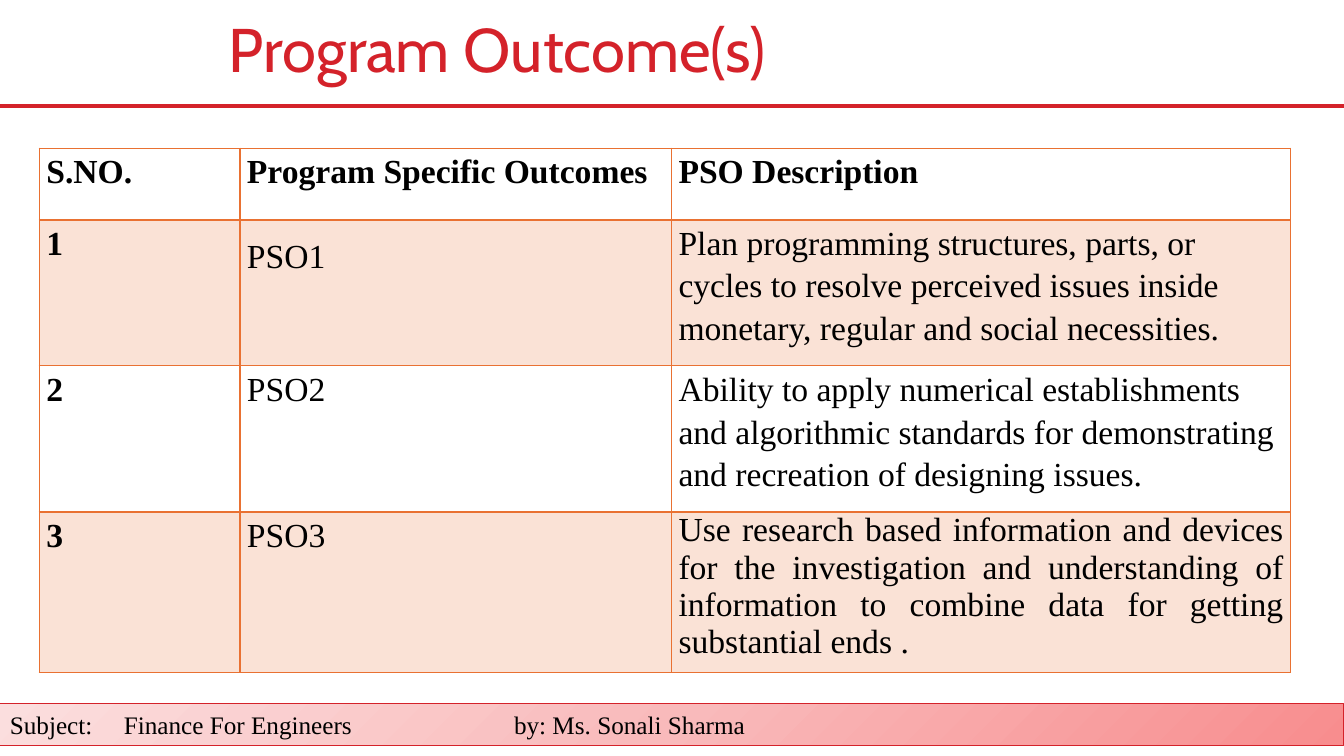
from copy import deepcopy

from lxml import etree
from pptx import Presentation
from pptx.dml.color import RGBColor
from pptx.enum import shapes, text
from pptx.oxml import ns
from pptx.util import Inches, Pt

HEADING = "Program Outcome(s)"
FOOTER = "Subject:\tFinance For Engineers\tby: Ms. Sonali Sharma"
FOOTER_TABS = (1.13, 5.0)
OUTCOMES = [
    ("S.NO.", "Program Specific Outcomes", "PSO Description"),
    ("1", "PSO1", "Plan programming structures, parts, or cycles to resolve perceived "
                  "issues inside monetary, regular and social necessities."),
    ("2", "PSO2", "Ability to apply numerical establishments and algorithmic standards "
                  "for demonstrating and recreation of designing issues."),
    ("3", "PSO3", "Use research based information and devices for the investigation and "
                  "understanding of information to combine data for getting "
                  "substantial ends ."),
]
COLUMN_WIDTHS = (1.99, 4.28, 6.14)
ROW_HEIGHTS = (0.71, 1.45, 1.45, 1.59)
JUSTIFIED_SPACING = {(1, 1): 1.5, (3, 2): 1.0}

RED = RGBColor(0xD4, 0x22, 0x2A)
ORANGE = RGBColor(0xE9, 0x71, 0x32)
BLACK = RGBColor(0, 0, 0)
FOOTER_STOPS = [
    (0, RGBColor(0xF8, 0x8D, 0x8E)),
    (0.5, RGBColor(0xF9, 0xBA, 0xBB)),
    (1, RGBColor(0xFB, 0xDE, 0xDE)),
]
SERIF = "Times New Roman"


def add_element(parent, tag, **attributes):
    return etree.SubElement(parent, ns.qn(tag), attributes)


def style(paragraph, font_name, size, color, bold=False):
    for run in paragraph.runs:
        run.font.name = font_name
        run.font.size = Pt(size)
        run.font.color.rgb = color
        run.font.bold = bold


def add_border(cell, side, points):
    border = add_element(cell._tc.get_or_add_tcPr(), f"a:ln{side}", w=str(Pt(points)))
    fill = add_element(border, "a:solidFill")
    add_element(fill, "a:srgbClr", val=str(ORANGE))


def add_rule(slide):
    rule = slide.shapes.add_connector(
        shapes.MSO_CONNECTOR.STRAIGHT, 0, Inches(1.05), Inches(13.35), Inches(1.05))
    rule.line.color.rgb = RED
    rule.line.width = Pt(3)
    add_element(rule._element.spPr, "a:effectLst")


def add_footer(slide):
    footer = slide.shapes.add_shape(
        shapes.MSO_SHAPE.RECTANGLE, 0, Inches(6.98), Inches(13.33), Inches(0.42))
    footer.shadow.inherit = False
    footer.line.color.rgb = RED
    footer.line.width = Pt(0.75)
    footer.fill.gradient()
    footer.fill.gradient_angle = 135
    stop_list = footer._element.spPr.find(".//" + ns.qn("a:gsLst"))
    stop_list.append(deepcopy(stop_list[0]))
    for stop, (position, color) in zip(footer.fill.gradient_stops, FOOTER_STOPS):
        stop.position = position
        stop.color.rgb = color
    footer.text_frame.vertical_anchor = text.MSO_ANCHOR.MIDDLE
    line = footer.text_frame.paragraphs[0]
    line.text = FOOTER
    line.alignment = text.PP_ALIGN.LEFT
    tabs = add_element(line._p.get_or_add_pPr(), "a:tabLst")
    for position in FOOTER_TABS:
        add_element(tabs, "a:tab", pos=str(Inches(position)), algn="l")
    style(line, SERIF, 18, BLACK)


def add_outcomes(slide):
    table = slide.shapes.add_table(
        len(ROW_HEIGHTS), len(COLUMN_WIDTHS), Inches(0.39), Inches(1.47),
        Inches(sum(COLUMN_WIDTHS)), Inches(sum(ROW_HEIGHTS))).table
    table.first_row = table.horz_banding = False
    for column, width in zip(table.columns, COLUMN_WIDTHS):
        column.width = Inches(width)
    for row, height in zip(table.rows, ROW_HEIGHTS):
        row.height = Inches(height)
    for r, outcome in enumerate(OUTCOMES):
        for c, words in enumerate(outcome):
            cell = table.cell(r, c)
            cell.margin_left = cell.margin_right = Inches(0.07)
            cell.margin_top = cell.margin_bottom = 0
            for side in "LRTB":
                under_header = (r, side) in ((0, "B"), (1, "T"))
                add_border(cell, side, 2 if under_header else 1)
            if r % 2:
                cell.fill.solid()
                cell.fill.fore_color.rgb = ORANGE
                tint = cell._tc.tcPr.find(ns.qn("a:solidFill"))[0]
                add_element(tint, "a:alpha", val="20000")
            else:
                cell.fill.background()
            cell.text_frame.text = words
            paragraph = cell.text_frame.paragraphs[0]
            paragraph.line_spacing = JUSTIFIED_SPACING.get((r, c), 1.15)
            if (r, c) in JUSTIFIED_SPACING:
                paragraph.alignment = text.PP_ALIGN.JUSTIFY
            style(paragraph, SERIF, 24, BLACK, bold=r == 0 or c == 0)


def add_heading(slide):
    heading = slide.shapes.add_textbox(
        Inches(2.17), Inches(0.1), Inches(11.11), Inches(0.84)).text_frame
    heading.word_wrap = True
    heading.vertical_anchor = text.MSO_ANCHOR.MIDDLE
    heading.text = HEADING
    heading.paragraphs[0].line_spacing = 0.9
    style(heading.paragraphs[0], "Cabin", 44, RED)


def main():
    deck = Presentation()
    deck.slide_width, deck.slide_height = Inches(13.33), Inches(7.5)
    slide = deck.slides.add_slide(deck.slide_layouts[6])
    add_rule(slide)
    add_footer(slide)
    add_outcomes(slide)
    add_heading(slide)
    deck.save("out.pptx")


if __name__ == "__main__":
    main()
